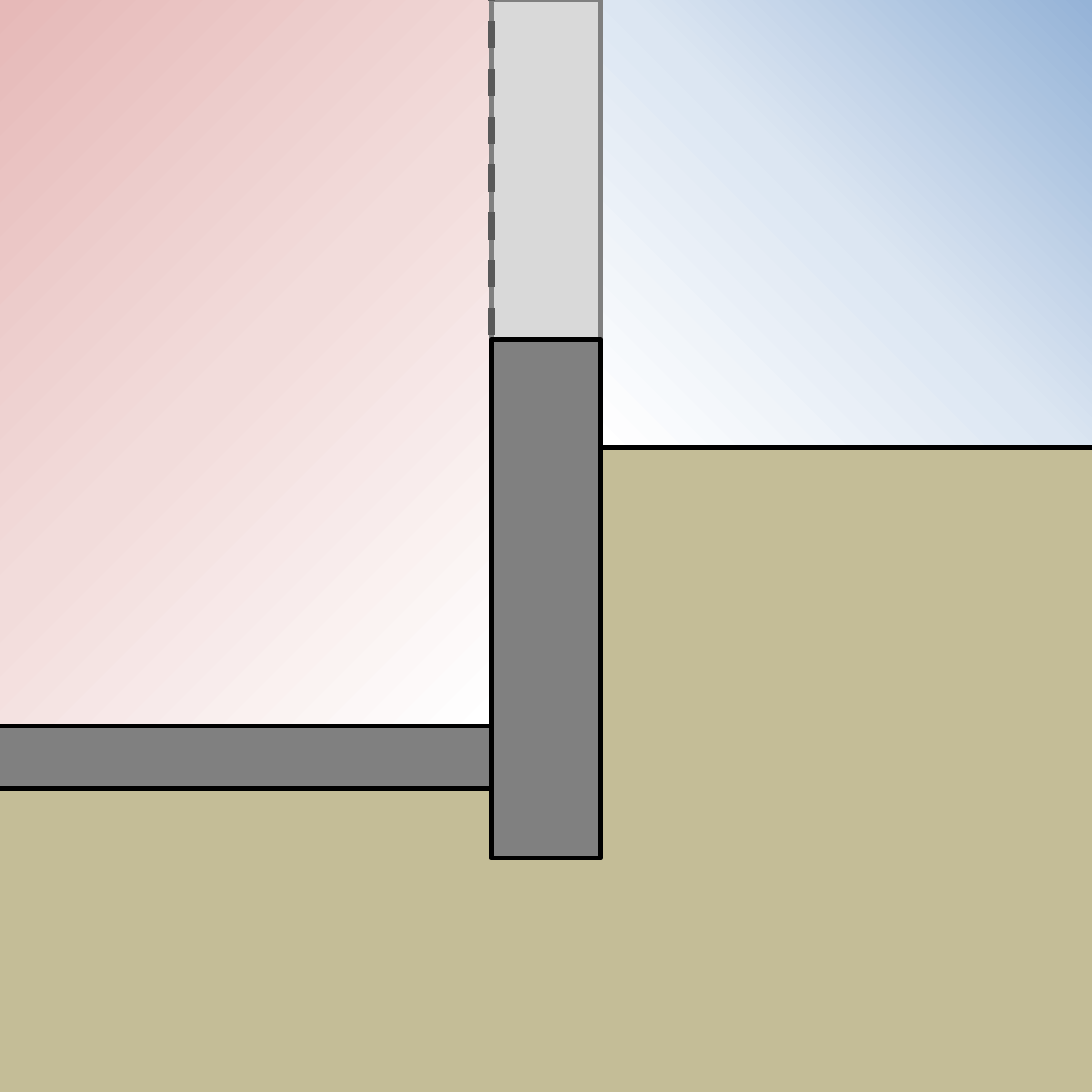
import copy
from dataclasses import dataclass

import pptx
import pptx.dml.color
import pptx.enum.dml
import pptx.enum.shapes
import pptx.oxml
import pptx.util

Cm = pptx.util.Cm
Pt = pptx.util.Pt
RGB = pptx.dml.color.RGBColor.from_string


@dataclass(frozen=True)
class Theme:
    warm: tuple = ("FFFFFF", "F2DCDB", "E6B9B8")
    cold: tuple = ("95B3D7", "DCE6F2", "FFFFFF")
    soil: str = "C4BD97"
    stone: str = "808080"
    wall: str = "D9D9D9"
    dash: str = "595959"
    ink: str = "000000"
    thin: float = 3
    thick: float = 4.5


theme = Theme()

# Section levels and edges, in centimetres
side = 25.4
left, right = 11.43, 13.97
top, grade, floor, base, foot = 7.9, 10.41, 16.89, 18.34, 19.96

deck = pptx.Presentation()
deck.slide_width = deck.slide_height = Cm(side)
slide = deck.slides.add_slide(deck.slide_layouts[6])


def block(x1, y1, x2, y2, fill, edge=None, angle=0):
    """Draw a rectangle; a tuple of colours gives a clockwise-angled gradient."""
    rect = slide.shapes.add_shape(
        pptx.enum.shapes.MSO_SHAPE.RECTANGLE,
        Cm(x1), Cm(y1), Cm(x2 - x1), Cm(y2 - y1))
    rect.shadow.inherit = False
    if isinstance(fill, tuple):
        rect.fill.gradient()
        rect.fill.gradient_angle = 360 - angle
        stops = rect.element.spPr.xpath("a:gradFill/a:gsLst")[0]
        stops.append(copy.deepcopy(stops[0]))
        for i, stop in enumerate(rect.fill.gradient_stops):
            stop.position = i / (len(fill) - 1)
            stop.color.rgb = RGB(fill[i])
    else:
        rect.fill.solid()
        rect.fill.fore_color.rgb = RGB(fill)
    if edge:
        rect.line.color.rgb = RGB(edge)
        rect.line.width = Pt(theme.thin)
    else:
        rect.line.fill.background()


def rule(x1, y1, x2, y2, color, width, dash=None):
    line = slide.shapes.add_connector(
        pptx.enum.shapes.MSO_CONNECTOR.STRAIGHT,
        Cm(x1), Cm(y1), Cm(x2), Cm(y2))
    line.line.color.rgb = RGB(color)
    line.line.width = Pt(width)
    if dash:
        line.line.dash_style = dash
    line.element.spPr.append(pptx.oxml.parse_xml(
        '<a:effectLst xmlns:a='
        '"http://schemas.openxmlformats.org/drawingml/2006/main"/>'))


# Outdoor air, ground and indoor air
block(right, 0, side, grade, theme.cold, angle=135)
block(0, grade, side, 28.96, theme.soil)
rule(right, grade, side, grade, theme.ink, theme.thin)
block(0, 0, left, floor, theme.warm, angle=225)

# Upper wall, floor slab running off the left edge, and foundation
block(left, 0, right, top, theme.wall, theme.stone)
block(-3.81, floor, left, base, theme.stone, theme.ink)
block(left, top, right, foot, theme.stone, theme.ink)

# Lining on the warm face
rule(left, 7.8, left, 0, theme.dash, theme.thick,
     pptx.enum.dml.MSO_LINE.DASH)

deck.save("out.pptx")
